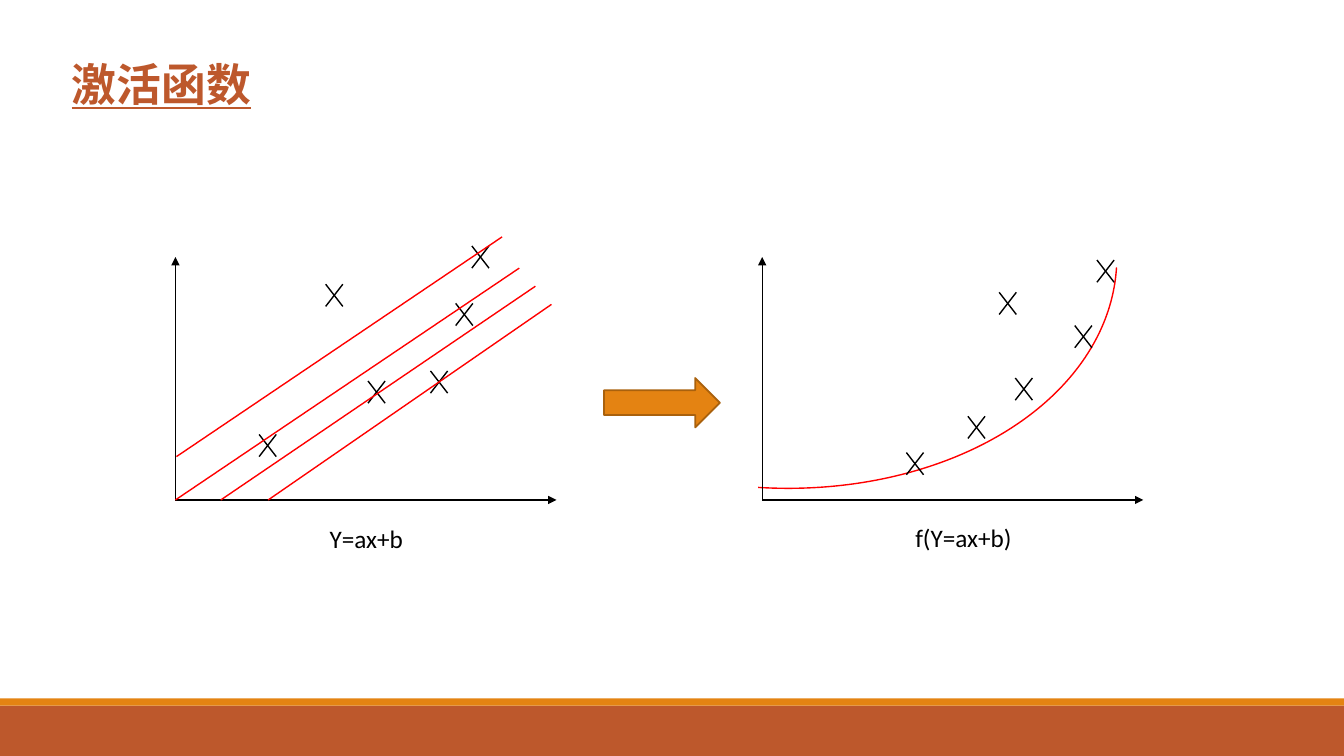
from dataclasses import dataclass

from lxml.etree import SubElement
from pptx import Presentation
from pptx.dml.color import RGBColor
from pptx.enum.shapes import MSO_CONNECTOR as Link, MSO_SHAPE as Kind
from pptx.enum.text import MSO_ANCHOR as Anchor, MSO_AUTO_SIZE as Fit, PP_ALIGN as Align
from pptx.oxml.ns import qn
from pptx.util import Inches, Pt

Point = tuple[float, float]

RUST, GOLD, BROWN = "BD582C", "E48312", "A9610D"
BLACK, RED = "000000", "FF0000"
WIDE, HIGH = 13.33, 7.5
MARK_W, MARK_H = 0.17, 0.22
AXIS_W, AXIS_H = 3.78, 2.41


@dataclass
class Plot:
    origin: Point
    marks: list[Point]
    fits: list[tuple[Point, Point]]


@dataclass
class Block:
    kind: Kind
    box: tuple[float, float, float, float]
    fill: str | None = None
    line: str | None = None
    width: float = 1
    turn: float = 0


def paint(fmt, color: str) -> None:
    """Set a font colour or a fill to a hex colour."""
    fmt.rgb = RGBColor.from_string(color)


def draw_line(slide, start: Point, end: Point, color: str = BLACK, arrow: bool = False) -> None:
    line = slide.shapes.add_connector(Link.STRAIGHT, *map(Inches, start + end))
    line.line.width = Pt(1)
    line.line.fill.solid()
    paint(line.line.color, color)
    if arrow:
        SubElement(line.line._get_or_add_ln(), qn("a:tailEnd"), type="triangle")
    SubElement(line._element.spPr, qn("a:effectLst"))


def draw_block(slide, block: Block) -> None:
    shape = slide.shapes.add_shape(block.kind, *map(Inches, block.box))
    shape.shadow.inherit = False
    shape.rotation = block.turn
    if block.fill:
        shape.fill.solid()
        paint(shape.fill.fore_color, block.fill)
    else:
        shape.fill.background()
    if block.line:
        shape.line.width = Pt(block.width)
        paint(shape.line.color, block.line)
    else:
        shape.line.fill.background()


def write(shape, text: str, *, size: float = 18, color: str = BLACK,
          bold: bool = False, under: bool = False) -> None:
    frame = shape.text_frame
    frame.word_wrap = False
    frame.auto_size = Fit.SHAPE_TO_FIT_TEXT
    frame.vertical_anchor = Anchor.TOP
    para = frame.paragraphs[0]
    para.alignment = Align.LEFT
    run = para.add_run()
    run.text = text
    font = run.font
    font.name, font.size = "Calibri", Pt(size)
    font.bold, font.underline = bold, under
    paint(font.color, color)


def draw_plot(slide, plot: Plot) -> None:
    x, y = plot.origin
    for tip in ((x, y - AXIS_H), (x + AXIS_W, y)):
        draw_line(slide, plot.origin, tip, arrow=True)
    for left, top in plot.marks:
        right, low = left + MARK_W, top + MARK_H
        draw_line(slide, (left, top), (right, low))
        draw_line(slide, (right, top), (left, low))
    for start, end in plot.fits:
        draw_line(slide, start, end, RED)


BLOCKS = [
    # Footer bands
    Block(Kind.RECTANGLE, (0, 7, WIDE, 0.5), RUST),
    Block(Kind.RECTANGLE, (0, 6.93, WIDE, 0.07), GOLD),
    # Curve of the right plot
    Block(Kind.ARC, (5.27, -0.97, 4.79, 6.83), line=RED, turn=93.5),
    # Arrow between the plots
    Block(Kind.RIGHT_ARROW, (5.99, 3.75, 1.15, 0.49), GOLD, BROWN, 1.25),
]

PLOTS = [
    Plot((1.74, 4.96),
         [(4.68, 2.44), (4.27, 3.68), (2.57, 4.31),
          (3.23, 2.82), (4.52, 3.01), (3.65, 3.78)],
         [((1.74, 4.96), (5.15, 2.66)), ((2.19, 4.96), (5.31, 2.84)),
          ((2.66, 4.96), (5.47, 3.02)), ((1.75, 4.53), (4.98, 2.35))]),
    Plot((7.56, 4.96),
         [(10.88, 2.58), (10.07, 3.75), (8.99, 4.49),
          (9.91, 2.9), (10.66, 3.23), (9.6, 4.13)],
         []),
]

NOTES = [("Y=ax+b", (3.17, 5.14, 0.94, 0.4)), ("f(Y=ax+b)", (8.98, 5.13, 1.17, 0.4))]


def main() -> None:
    deck = Presentation()
    deck.slide_width, deck.slide_height = Inches(WIDE), Inches(HIGH)
    slide = deck.slides.add_slide(deck.slide_layouts[5])

    # Title
    title = slide.shapes.title
    title.left, title.top, title.width, title.height = map(Inches, (0.61, 0.51, 2, 0.64))
    write(title, "激活函数", size=32, color=RUST, bold=True, under=True)

    # Bands, curve and arrow
    for block in BLOCKS:
        draw_block(slide, block)

    # Plots
    for plot in PLOTS:
        draw_plot(slide, plot)

    # Captions
    for text, box in NOTES:
        write(slide.shapes.add_textbox(*map(Inches, box)), text)

    deck.save("out.pptx")


if __name__ == "__main__":
    main()
